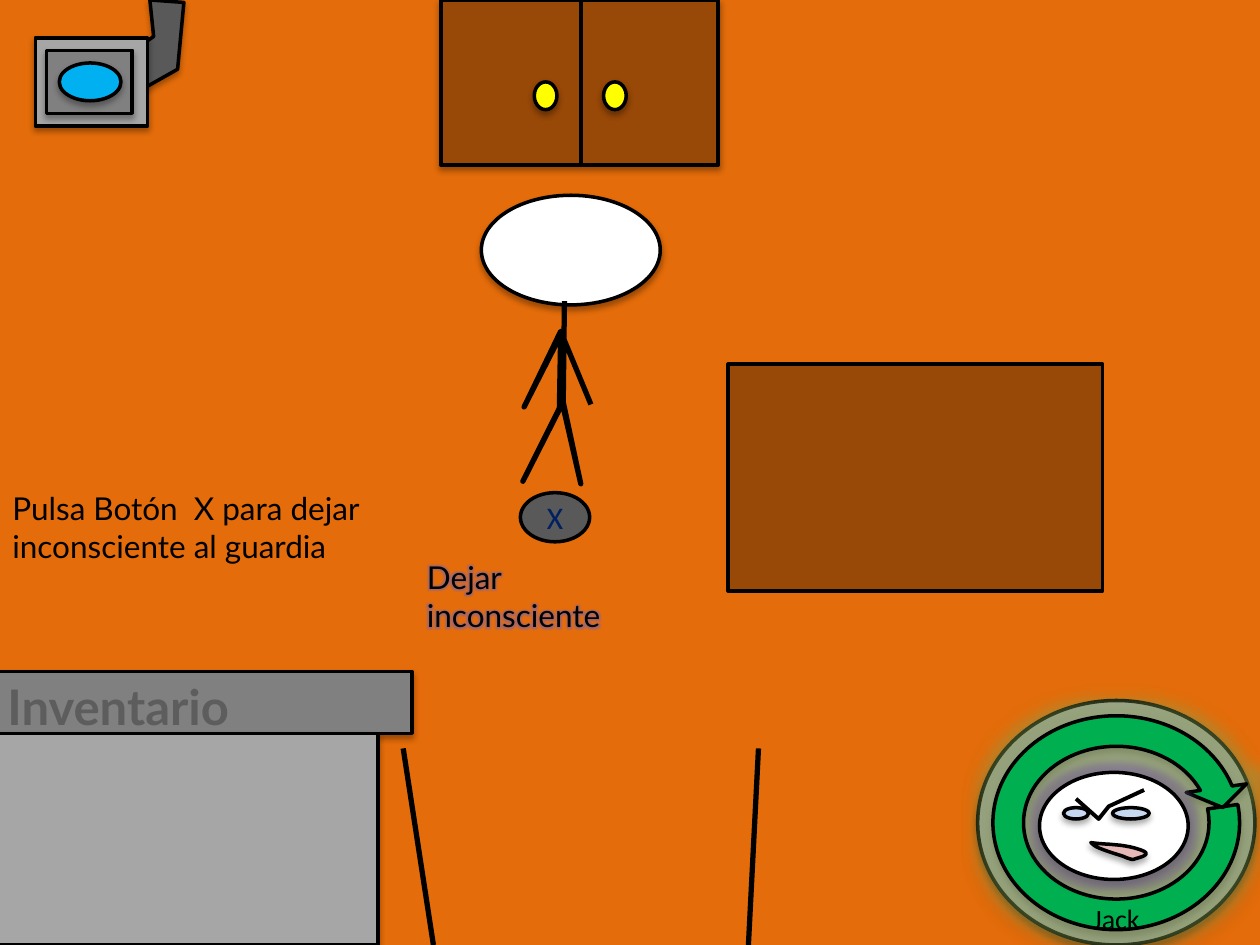
from dataclasses import dataclass
from typing import Optional

from lxml.etree import SubElement
from pptx import Presentation
from pptx.dml.color import RGBColor
from pptx.enum.shapes import MSO_CONNECTOR as Link, MSO_SHAPE as Preset
from pptx.enum.text import MSO_ANCHOR as Anchor, MSO_AUTO_SIZE as Fit, PP_ALIGN as Align
from pptx.oxml.ns import qn
from pptx.util import Inches, Pt

BLACK, GREY, SILVER, WOOD = "000000", "595959", "A6A6A6", "984807"
WHITE, YELLOW, EYE = "FFFFFF", "FFFF00", "C6D9F1"
RECT, OVAL = Preset.RECTANGLE, Preset.OVAL


@dataclass
class Glow:
    color: str
    radius: float
    opacity: int = 40


@dataclass
class Part:
    """A preset shape: left, top, width, height in inches."""
    preset: Preset
    box: tuple
    fill: str
    weight: float = 2
    shadow: bool = True
    glow: Optional[Glow] = None


@dataclass
class Outline:
    """A freeform through points in inches; open when it has no fill."""
    points: list
    fill: Optional[str] = None
    weight: float = 2
    rotation: float = 0


@dataclass
class Stroke:
    start: tuple
    end: tuple
    weight: float


@dataclass
class Label:
    text: str
    box: tuple
    size: float = 18
    font: str = "Lato"
    color: str = BLACK
    bold: bool = False
    align: Align = Align.LEFT
    glow: Optional[Glow] = None


def paint(target, color: Optional[str]) -> None:
    if color is None:
        target.background()
    else:
        target.solid()
        target.fore_color.rgb = RGBColor.from_string(color)


def add_effect(effects, tag: str, color: str, opacity: int, **settings) -> None:
    effect = SubElement(effects, qn(tag), {k: str(v) for k, v in settings.items()})
    tint = SubElement(effect, qn("a:srgbClr"), val=color)
    SubElement(tint, qn("a:alpha"), val=str(opacity * 1000))


def add_glow(effects, glow: Optional[Glow]) -> None:
    if glow:
        add_effect(effects, "a:glow", glow.color, glow.opacity, rad=int(Pt(glow.radius)))


def finish(shape, fill: Optional[str], weight: float, shadow: bool, glow: Optional[Glow] = None) -> None:
    paint(shape.fill, fill)
    paint(shape.line.fill, BLACK)
    shape.line.width = Pt(weight)
    shape.shadow.inherit = False
    effects = shape._element.spPr.find(qn("a:effectLst"))
    add_glow(effects, glow)
    if shadow:
        add_effect(effects, "a:outerShdw", BLACK, 32, blurRad=int(Pt(3.5)), dist=int(Pt(2.2)),
                   dir=90 * 60000, algn="ctr", rotWithShape=0)


def write(frame, label: Label) -> None:
    paragraph = frame.paragraphs[0]
    paragraph.alignment = label.align
    run = paragraph.add_run()
    run.text = label.text
    formats = {"size": Pt(label.size), "name": label.font, "bold": label.bold}
    for name, value in formats.items():
        setattr(run.font, name, value)
    paint(run.font.fill, label.color)
    if label.glow:
        effects = run._r.rPr.makeelement(qn("a:effectLst"))
        run._r.rPr.find(qn("a:solidFill")).addnext(effects)
        add_glow(effects, label.glow)


def draw(shapes, item):
    if isinstance(item, Part):
        shape = shapes.add_shape(item.preset, *map(Inches, item.box))
        finish(shape, item.fill, item.weight, item.shadow, item.glow)
    elif isinstance(item, Outline):
        first, *rest = [(Inches(x), Inches(y)) for x, y in item.points]
        builder = shapes.build_freeform(*first)
        builder.add_line_segments(rest, close=item.fill is not None)
        shape = builder.convert_to_shape()
        shape.rotation = item.rotation
        finish(shape, item.fill, item.weight, item.fill is not None)
    elif isinstance(item, Stroke):
        shape = shapes.add_connector(Link.STRAIGHT, *map(Inches, item.start + item.end))
        paint(shape.line.fill, BLACK)
        shape.line.width = Pt(item.weight)
        SubElement(shape._element.spPr, qn("a:effectLst"))
    else:
        shape = shapes.add_textbox(*map(Inches, item.box))
        shape.text_frame.word_wrap = True
        shape.text_frame.auto_size = Fit.SHAPE_TO_FIT_TEXT
        write(shape.text_frame, item)
    return shape


def draw_group(shapes, items: list) -> None:
    group = shapes.add_group_shape()
    for item in items:
        draw(group.shapes, item)


def curve(*nodes: tuple, steps: int = 10) -> list:
    """Points along joined cubic curves: a start, then three nodes per curve."""
    points = [nodes[0]]
    for i in range(0, len(nodes) - 1, 3):
        a, b, c, d = nodes[i:i + 4]
        for t in (n / steps for n in range(1, steps + 1)):
            u = 1 - t
            points.append(tuple(u**3 * a[k] + 3 * u * u * t * b[k] + 3 * u * t * t * c[k] + t**3 * d[k]
                                for k in (0, 1)))
    return points


deck = Presentation()
deck.slide_width, deck.slide_height = Inches(10), Inches(7.5)
slide = deck.slides.add_slide(deck.slide_layouts[6])
paint(slide.background.fill, "E46C0A")
room = slide.shapes

# Table and hint
draw(room, Part(RECT, (5.78, 2.89, 2.97, 1.8), WOOD, shadow=False))
draw(room, Label("Pulsa Botón  X para dejar inconsciente al guardia", (0, 3.83, 3.75, 0.71)))

# Doorway
draw_group(room, [Stroke((3.2, 5.94), (3.44, 7.5), 3), Stroke((6.02, 5.94), (5.94, 7.5), 3)])

# Inventory
draw_group(room, [
    Part(RECT, (-0.04, 5.33, 3.31, 0.49), "808080"),
    Label("Inventario", (-0.04, 5.32, 2.15, 0.57), 28, color="5D5D5D", bold=True),
    Part(RECT, (-0.04, 5.82, 3.04, 1.68), SILVER),
])

# Action button
button = draw(room, Part(OVAL, (4.13, 3.91, 0.55, 0.39), GREY, shadow=False))
button.text_frame.vertical_anchor = Anchor.MIDDLE
write(button.text_frame, Label("X", (), font="Calibri", color="002060", align=Align.CENTER))
draw(room, Label("Dejar inconsciente", (3.29, 4.38, 2.1, 0.71), glow=Glow("8064A2", 6, 60)))

# Guard
draw_group(room, [
    Part(OVAL, (3.82, 1.55, 1.42, 0.87), WHITE),
    Outline([(4.48, 2.39), (4.47, 3.23), (4.61, 3.84), (4.47, 3.19), (4.15, 3.82), (4.44, 3.24),
             (4.45, 2.66), (4.16, 3.23), (4.45, 2.63), (4.69, 3.21)], weight=3),
])

# Cupboard
draw_group(room, [
    Part(RECT, (3.5, 0, 2.2, 1.31), WOOD, 2.25),
    Stroke((4.61, 0), (4.61, 1.31), 2.25),
    *(Part(OVAL, (left, 0.65, 0.18, 0.22), YELLOW) for left in (4.24, 4.79)),
])

# Security camera
draw_group(room, [
    Outline([(0.76, 0.51), (0.76, 0.77), (1.02, 0.77), (1.41, 0.55), (1.46, 0.02), (1.19, 0),
             (1.22, 0.29), (0.98, 0.46)], GREY),
    Part(RECT, (0.28, 0.3, 0.89, 0.7), SILVER),
    Part(RECT, (0.37, 0.4, 0.68, 0.5), "808080"),
    Part(OVAL, (0.47, 0.5, 0.49, 0.3), "00B0F0"),
])

# Character badge
badge = (7.76, 5.56, 2.2, 1.94)
draw(room, Part(OVAL, badge, SILVER))
arrow = draw(room, Part(Preset.CIRCULAR_ARROW, badge, "00B050", glow=Glow("9BBB59", 18)))
for i, value in enumerate((0.125, 6.58, 204.58, 210.88, 0.125)):
    arrow.adjustments[i] = value
draw(room, Label("Jack", (8.36, 7.11, 1, 0.37), 16, "Calibri", align=Align.CENTER))

# Face
draw(room, Part(OVAL, (8.25, 6.13, 1.18, 0.85), WHITE, glow=Glow("8064A2", 8)))
draw(room, Outline(curve((8.65, 6.72), (8.78, 6.72), (8.9, 6.69), (9.05, 6.72), (9.16, 6.74),
                         (9.05, 6.78), (9.01, 6.8), (9, 6.81), (8.95, 6.8), (8.92, 6.79),
                         (8.66, 6.75), (8.69, 6.74), (8.65, 6.72)), "E6B9B8", rotation=8.3))
draw(room, Outline([(8.54, 6.34), (8.72, 6.5), (8.8, 6.4), (9.08, 6.27)], weight=2.25))
for left, width in ((8.83, 0.29), (8.44, 0.2)):
    draw(room, Part(OVAL, (left, 6.41, width, 0.09), EYE))

deck.save("out.pptx")
